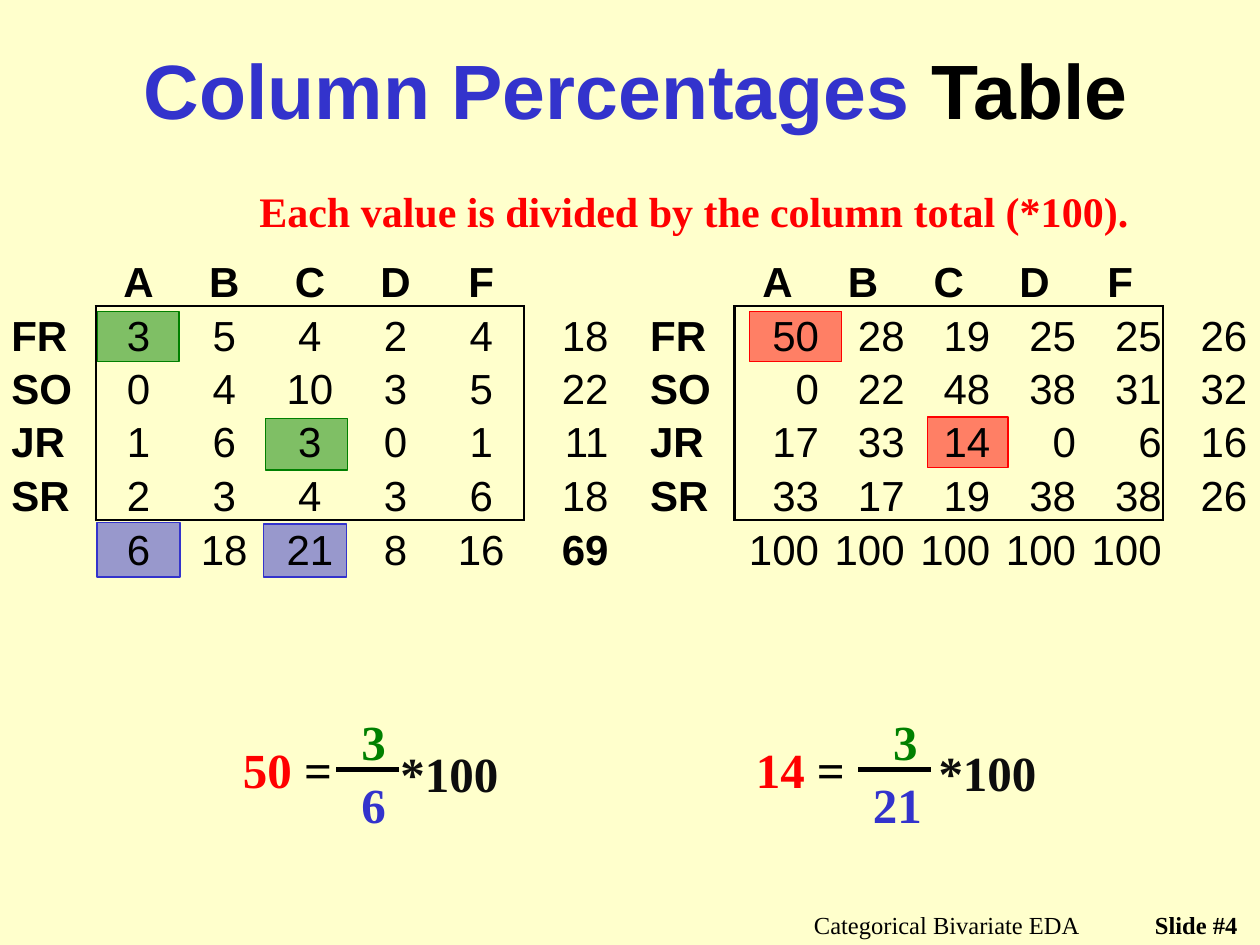
import pptx
import pptx.util
import pptx.dml.color
import pptx.enum.shapes
import pptx.enum.text
import pptx.oxml
import pptx.oxml.ns
from pptx.util import Inches

ALIGN = pptx.enum.text.PP_ALIGN
ANCHOR = pptx.enum.text.MSO_ANCHOR
BLACK, DARK, RED, GREEN, BLUE = "000000", "0D0D0D", "FF0000", "008000", "3333CC"
SANS, SERIF = "Arial", "Times New Roman"

# Content
TITLE = [("Column Percentages ", BLUE), ("Table", BLACK)]
RULE = [("Each value is divided by the column total (*100).", RED)]
GRADES = ["", "A", "B", "C", "D", "F", ""]
COUNTS = [
    GRADES,
    ["FR", "3", "5", "4", "2", "4", "18"],
    ["SO", "0", "4", "10", "3", "5", "22"],
    ["JR", "1", "6", "3", "0", "1", "11"],
    ["SR", "2", "3", "4", "3", "6", "18"],
    ["", "6", "18", "21", "8", "16", "69"],
]
PERCENTAGES = [
    GRADES,
    ["FR", "50", "28", "19", "25", "25", "26"],
    ["SO", "0", "22", "48", "38", "31", "32"],
    ["JR", "17", "33", "14", "0", "6", "16"],
    ["SR", "33", "17", "19", "38", "38", "26"],
    ["", "100", "100", "100", "100", "100", ""],
]
TABLES = [(0.08, COUNTS, ALIGN.CENTER), (5.15, PERCENTAGES, ALIGN.RIGHT)]
COLUMN_WIDTH = 0.68
ROW_HEIGHTS = [0.43, 0.43, 0.42, 0.42, 0.43, 0.43]

HIGHLIGHTS = [  # left, top, width, height, colour
    (7.36, 3.31, 0.64, 0.40, RED),
    (2.11, 3.32, 0.65, 0.41, GREEN),
    (2.09, 4.16, 0.66, 0.42, BLUE),
    (0.77, 2.47, 0.65, 0.40, GREEN),
    (0.77, 4.15, 0.66, 0.43, BLUE),
    (5.95, 2.47, 0.73, 0.40, RED),
]
FORMULAS = [  # texts as (left, top, width, runs), then the fraction bar's ends
    ([(1.83, 5.82, 0.92, [("50 ", RED), ("=", BLACK)]),
      (2.77, 5.60, 0.40, [("3", GREEN)]),
      (2.77, 6.10, 0.40, [("6", BLUE)]),
      (3.08, 5.85, 0.99, [("*100", DARK)])], (2.67, 3.17)),
    ([(5.90, 5.82, 0.92, [("14 ", RED), ("=", BLACK)]),
      (6.99, 5.60, 0.40, [("3", GREEN)]),
      (6.83, 6.10, 0.59, [("21", BLUE)]),
      (7.35, 5.84, 0.99, [("*100", DARK)])], (6.81, 7.39)),
]
BAR_TOP = 6.11


def rgb(color):
    return pptx.dml.color.RGBColor.from_string(color)


def style_font(font, size, name, color, bold):
    font.size, font.name, font.bold = pptx.util.Pt(size), name, bold
    font.color.rgb = rgb(color)


def add_text(shapes, box, runs, size, name=SERIF, bold=True, align=ALIGN.LEFT,
             anchor=ANCHOR.TOP, wrap=False):
    frame = shapes.add_textbox(*map(Inches, box)).text_frame
    frame.word_wrap, frame.vertical_anchor = wrap, anchor
    paragraph = frame.paragraphs[0]
    paragraph.alignment = align
    for text, color in runs:
        run = paragraph.add_run()
        run.text = text
        style_font(run.font, size, name, color, bold)


def add_highlight(shapes, left, top, width, height, color):
    shape = shapes.add_shape(pptx.enum.shapes.MSO_SHAPE.RECTANGLE,
                             *map(Inches, (left, top, width, height)))
    shape.shadow.inherit = False
    shape.fill.solid()
    shape.fill.fore_color.rgb = rgb(color)
    fill_color = shape.fill._xPr.find(".//" + pptx.oxml.ns.qn("a:srgbClr"))
    pptx.oxml.ns  # alpha is not covered by the public methods
    fill_color.append(pptx.oxml.parse_xml(
        f'<a:alpha {pptx.oxml.ns.nsdecls("a")} val="50000"/>'))
    shape.line.color.rgb = rgb(color)
    shape.line.width = pptx.util.Pt(0.75)


def set_borders(cell, sides):
    properties = cell._tc.get_or_add_tcPr()
    for index, side in enumerate("LRTB"):
        fill = (f'<a:solidFill><a:srgbClr val="{BLACK}"/></a:solidFill>'
                if side in sides else "<a:noFill/>")
        properties.insert(index, pptx.oxml.parse_xml(
            f'<a:ln{side} {pptx.oxml.ns.nsdecls("a")} w="19050">{fill}</a:ln{side}>'))


def frame_sides(row, column):
    """Sides of a cell that lie on the frame around rows 1-4, columns 1-5."""
    sides = ""
    if 1 <= row <= 4:
        sides += {0: "R", 1: "L", 5: "R", 6: "L"}.get(column, "")
    if 1 <= column <= 5:
        sides += {0: "B", 1: "T", 4: "B", 5: "T"}.get(row, "")
    return sides


def add_table(shapes, left, rows, value_align):
    columns = len(rows[0])
    table = shapes.add_table(len(rows), columns, Inches(left), Inches(2),
                             Inches(COLUMN_WIDTH * columns),
                             Inches(sum(ROW_HEIGHTS))).table
    table.first_row = table.horz_banding = False
    for column in table.columns:
        column.width = Inches(COLUMN_WIDTH)
    for row, height in zip(table.rows, ROW_HEIGHTS):
        row.height = Inches(height)
    for r, values in enumerate(rows):
        for c, value in enumerate(values):
            cell = table.cell(r, c)
            cell.fill.background()
            set_borders(cell, frame_sides(r, c))
            cell.vertical_anchor = ANCHOR.BOTTOM
            cell.margin_left = cell.margin_right = cell.margin_top = Inches(0.01)
            cell.margin_bottom = 0
            cell.text_frame.text = value
            paragraph = cell.text_frame.paragraphs[0]
            if c == 0:
                paragraph.alignment = ALIGN.LEFT
            elif c == columns - 1:
                paragraph.alignment = ALIGN.RIGHT
            else:
                paragraph.alignment = ALIGN.CENTER if r == 0 else value_align
            grand_total = r == len(rows) - 1 and c == columns - 1
            for run in paragraph.runs:
                style_font(run.font, 24, SANS, BLACK, r == 0 or c == 0 or grand_total)


def add_formula(shapes, texts, bar):
    group = shapes.add_group_shape()
    for left, top, width, runs in texts:
        add_text(group.shapes, (left, top, width, 0.57), runs, 28)
    line = group.shapes.add_connector(
        pptx.enum.shapes.MSO_CONNECTOR.STRAIGHT,
        *map(Inches, (bar[0], BAR_TOP, bar[1], BAR_TOP)))
    line.line.color.rgb = rgb(BLACK)
    line.line.width = pptx.util.Pt(3)
    line._element.spPr.append(pptx.oxml.parse_xml(
        f'<a:effectLst {pptx.oxml.ns.nsdecls("a")}/>'))


def main():
    presentation = pptx.Presentation()
    presentation.slide_width, presentation.slide_height = Inches(10), Inches(7.5)
    slide = presentation.slides.add_slide(presentation.slide_layouts[6])
    slide.background.fill.solid()
    slide.background.fill.fore_color.rgb = rgb("FFFFCC")
    shapes = slide.shapes

    # Highlights lie behind the tables
    for highlight in HIGHLIGHTS:
        add_highlight(shapes, *highlight)
    for left, rows, align in TABLES:
        add_table(shapes, left, rows, align)

    # Footer, title and rule
    add_text(shapes, (5.5, 7.17, 3.17, 0.25), [("Categorical Bivariate EDA", BLACK)],
             14, bold=False, align=ALIGN.RIGHT, wrap=True)
    add_text(shapes, (8.67, 7.17, 1.25, 0.25), [("Slide #4", BLACK)],
             14, align=ALIGN.RIGHT, wrap=True)
    add_text(shapes, (0.42, 0.08, 9.25, 1.25), TITLE, 44, SANS,
             align=ALIGN.CENTER, anchor=ANCHOR.MIDDLE, wrap=True)
    add_text(shapes, (1.96, 1.42, 7.17, 0.5), RULE, 24)

    # Worked examples
    for texts, bar in FORMULAS:
        add_formula(shapes, texts, bar)
    presentation.save("out.pptx")


if __name__ == "__main__":
    main()
